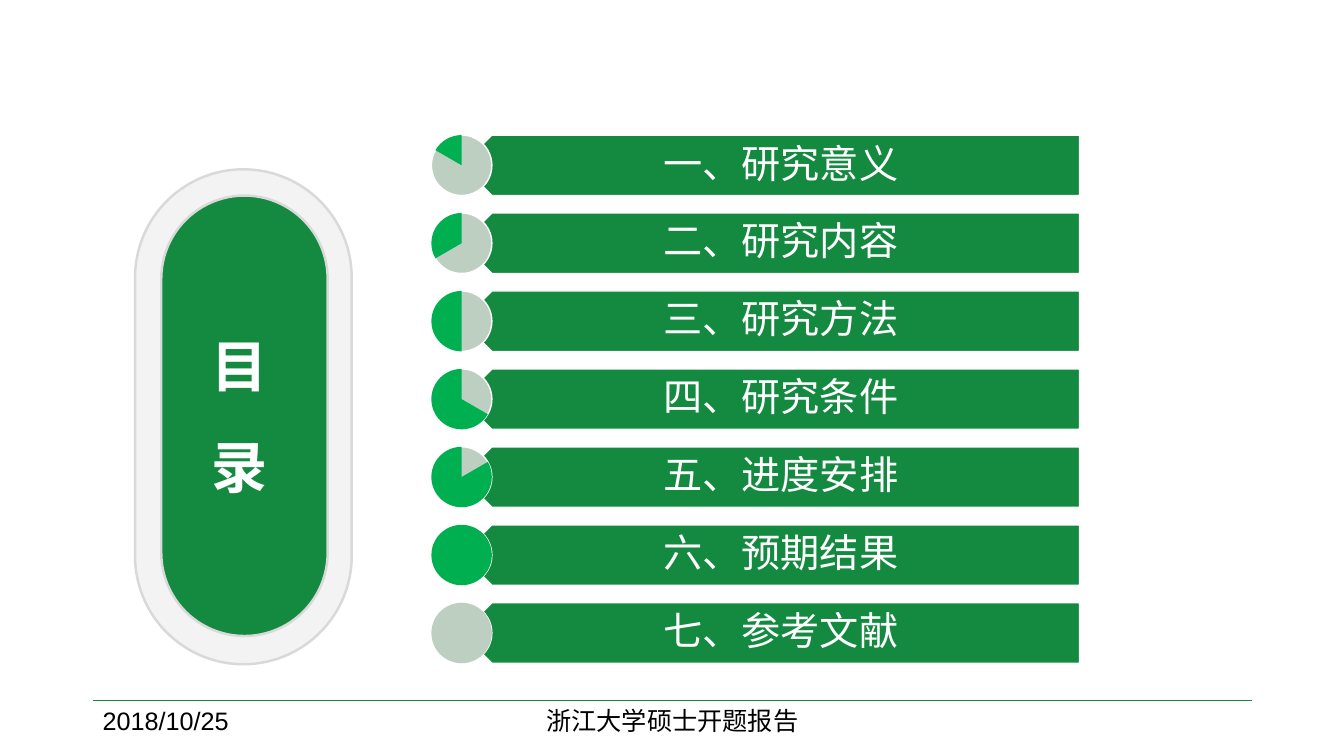
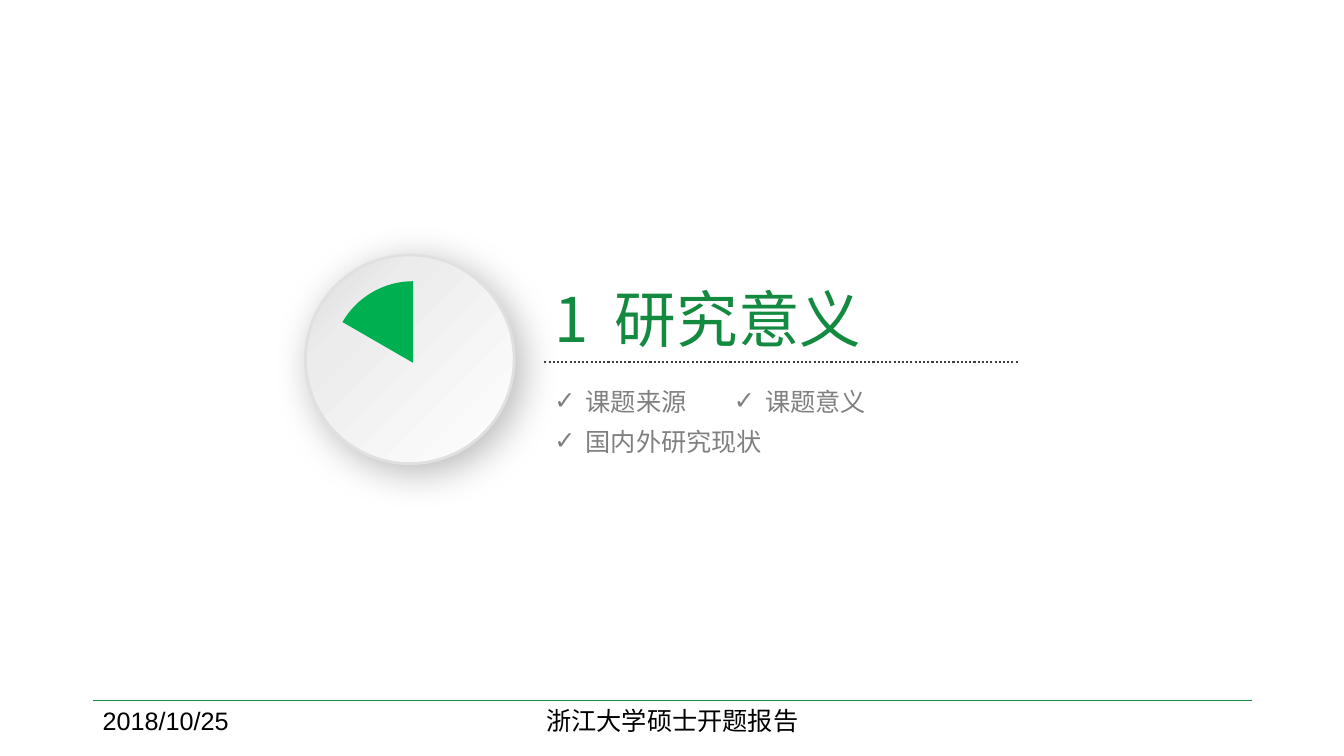
from lxml.etree import SubElement
from pptx import Presentation
from pptx.dml.color import RGBColor
from pptx.enum.dml import MSO_LINE
from pptx.enum.shapes import MSO_CONNECTOR, MSO_SHAPE
from pptx.enum.text import MSO_ANCHOR, MSO_AUTO_SIZE, PP_ALIGN
from pptx.oxml.ns import qn
from pptx.util import Inches, Pt

SLIDE_WIDTH, SLIDE_HEIGHT = Inches(13.33), Inches(7.5)
TITLE_ONLY, TWO_CONTENT = 5, 3

DEEP_GREEN = RGBColor(0x13, 0x8A, 0x40)
BRIGHT_GREEN = RGBColor(0x00, 0xB0, 0x50)
SAGE = RGBColor(0xBD, 0xCF, 0xC0)
WHITE = RGBColor(0xFF, 0xFF, 0xFF)
BLACK = RGBColor(0x00, 0x00, 0x00)
PALE_GREY = RGBColor(0xF3, 0xF3, 0xF3)
SOFT_GREY = RGBColor(0xEC, 0xEC, 0xEC)
RIM_GREY = RGBColor(0xE0, 0xE0, 0xE0)
EDGE_GREY = RGBColor(0xD9, 0xD9, 0xD9)
MID_GREY = RGBColor(0x80, 0x80, 0x80)
DARK_GREY = RGBColor(0x40, 0x40, 0x40)

LATIN_FONT = "Arial"
CHINESE_FONT = "Noto Sans CJK SC"

SECTIONS = ["一、研究意义", "二、研究内容", "三、研究方法", "四、研究条件",
            "五、进度安排", "六、预期结果", "七、参考文献"]
FIRST_ROW, ROW_STEP, ROW_HEIGHT = 17.87, 10.31, 8
DIAL_LEFT, DIAL_WIDTH = 32.1, 4.5
FULL_DIAL = 6
FOOTER_TOP, FOOTER_HEIGHT = 92.67, 5.33
TOPIC_LEFT, TOPIC_RIGHT = 40.5, 75.83


def across(percent):
    return round(SLIDE_WIDTH * percent / 100)


def down(percent):
    return round(SLIDE_HEIGHT * percent / 100)


def area(left, top, width, height):
    return across(left), down(top), across(width), down(height)


def add_figure(page, kind, place, fill, line=None, weight=1):
    figure = page.shapes.add_shape(kind, *area(*place))
    figure.shadow.inherit = False
    figure.fill.solid()
    figure.fill.fore_color.rgb = fill
    if line is None:
        figure.line.fill.background()
    else:
        figure.line.color.rgb = line
        figure.line.width = Pt(weight)
    return figure


def add_rule(page, left, right, top, color, weight, dash=None):
    rule = page.shapes.add_connector(
        MSO_CONNECTOR.STRAIGHT, across(left), down(top), across(right), down(top))
    rule.line.color.rgb = color
    rule.line.width = Pt(weight)
    rule.line.dash_style = dash
    SubElement(rule.element.spPr, qn("a:effectLst"))
    return rule


def write(box, lines, size, color, font=LATIN_FONT, align=PP_ALIGN.LEFT,
          anchor=MSO_ANCHOR.MIDDLE, bold=False, spacing=1.0):
    frame = box.text_frame
    frame.text = "\n".join(lines)
    frame.word_wrap = True
    frame.auto_size = MSO_AUTO_SIZE.NONE
    frame.vertical_anchor = anchor
    for para in frame.paragraphs:
        para.alignment = align
        para.line_spacing = spacing
        para.space_before = Pt(0)
        for span in para.runs:
            span.font.size = Pt(size)
            span.font.bold = bold
            span.font.color.rgb = color
            span.font.name = font
            SubElement(span._r.get_or_add_rPr(), qn("a:ea"), typeface=CHINESE_FONT)
    return frame


def add_text(page, place, text, size, color, **style):
    box = page.shapes.add_textbox(*area(*place))
    return write(box, [text], size, color, **style)


def move(placeholder, place):
    (placeholder.left, placeholder.top,
     placeholder.width, placeholder.height) = area(*place)
    return placeholder


def add_progress(page, place, step):
    if step >= FULL_DIAL:
        return add_figure(page, MSO_SHAPE.OVAL, place,
                          BRIGHT_GREEN if step == FULL_DIAL else SAGE)
    wedge = add_figure(page, MSO_SHAPE.PIE, place, BRIGHT_GREEN)
    start = (270 - 360 / FULL_DIAL * step) % 360
    wedge.adjustments[0] = start * 0.6
    wedge.adjustments[1] = 270 * 0.6
    return wedge


def add_checklist(placeholder, place, lines):
    frame = write(move(placeholder, place), lines, 18, MID_GREY,
                  font=CHINESE_FONT, anchor=MSO_ANCHOR.TOP)
    for index, para in enumerate(frame.paragraphs):
        properties = para._p.get_or_add_pPr()
        properties.set("marL", str(Inches(0.31)))
        properties.set("indent", str(-Inches(0.31)))
        SubElement(properties, qn("a:buChar"), char="✓")
        para.space_before = Pt(7 if index else 0)


def shade_disc(disc):
    disc.fill.gradient()
    disc.fill.gradient_angle = 315
    stops = disc.element.xpath(".//a:gsLst")[0]
    stops.clear()
    for position, color in ((0, EDGE_GREY), (27, SOFT_GREY), (100, WHITE)):
        stop = SubElement(stops, qn("a:gs"), pos=str(position * 1000))
        SubElement(stop, qn("a:srgbClr"), val=str(color))
    effects = disc.element.xpath(".//a:effectLst")[0]
    shadow = SubElement(effects, qn("a:outerShdw"), blurRad=str(Pt(28)),
                        dist=str(Pt(7)), dir=str(45 * 60000), rotWithShape="0")
    tint = SubElement(shadow, qn("a:srgbClr"), val=str(BLACK))
    SubElement(tint, qn("a:alpha"), val="28000")


def add_footer_rule(deck, page):
    rule = add_rule(page, 6.9, 93.15, FOOTER_TOP, DEEP_GREEN, 0.75)
    rule.element.xpath(".//p:cNvPr")[0].set("id", "20")
    deck.slide_master.shapes.element.append(rule.element)


def add_footer(page):
    add_text(page, (6.9, FOOTER_TOP, 22.5, FOOTER_HEIGHT), "2018/10/25", 18, BLACK)
    add_text(page, (33.15, FOOTER_TOP, 33.75, FOOTER_HEIGHT),
             "浙江大学硕士开题报告", 18, BLACK, align=PP_ALIGN.CENTER)


def add_section_row(page, step, label):
    top = FIRST_ROW + (step - 1) * ROW_STEP
    dial = (DIAL_LEFT, top, DIAL_WIDTH, ROW_HEIGHT)
    bar = add_figure(page, MSO_SHAPE.PENTAGON, (34.35, top, 45.98, ROW_HEIGHT),
                     DEEP_GREEN, WHITE)
    bar.rotation = 180
    frame = add_text(page, (35.48, top, 44.93, ROW_HEIGHT), label, 28, WHITE,
                     align=PP_ALIGN.CENTER, spacing=0.9)
    frame.margin_left, frame.margin_right = Inches(0.26), Inches(0.22)
    add_figure(page, MSO_SHAPE.OVAL, dial, SAGE, WHITE)
    add_progress(page, dial, step)


def build_contents(page):
    for place, fill in (((10.05, 22.4, 16.12, 65.47), PALE_GREY),
                        ((12, 25.87, 12.38, 58.27), DEEP_GREEN)):
        pill = add_figure(page, MSO_SHAPE.ROUNDED_RECTANGLE, place, fill, EDGE_GREY, 1.75)
        pill.adjustments[0] = 0.5
    title = move(page.shapes.title, (15, 33.47, 6.68, 38.53))
    write(title, ["目录"], 40, WHITE, font=CHINESE_FONT,
          align=PP_ALIGN.JUSTIFY, bold=True, spacing=1.5)
    page.shapes.element.append(title.element)
    for step, label in enumerate(SECTIONS, 1):
        add_section_row(page, step, label)
    add_footer(page)


def build_topic(page):
    title, left_list, right_list = page.placeholders
    frame = write(move(title, (TOPIC_LEFT, 36.4, TOPIC_RIGHT - TOPIC_LEFT, 11.2)),
                  ["1\t研究意义"], 44, DEEP_GREEN, font=CHINESE_FONT)
    tabs = SubElement(frame.paragraphs[0]._p.get_or_add_pPr(), qn("a:tabLst"))
    SubElement(tabs, qn("a:tab"), pos=str(Inches(0.6)), algn="l")
    add_rule(page, TOPIC_LEFT, TOPIC_RIGHT, 47.87, DARK_GREY, 1.5, MSO_LINE.ROUND_DOT)
    add_checklist(left_list, (TOPIC_LEFT, 50.4, 17.1, 11.47), ["课题来源", "国内外研究现状"])
    add_checklist(right_list, (53.85, 50.4, 11.48, 5.33), ["课题意义"])
    shade_disc(add_figure(page, MSO_SHAPE.OVAL, (22.73, 33.73, 15.53, 27.6),
                          WHITE, RIM_GREY, 2))
    add_progress(page, (24.67, 37.2, 12.15, 21.6), 1)
    add_footer(page)


def main():
    deck = Presentation()
    deck.slide_width, deck.slide_height = SLIDE_WIDTH, SLIDE_HEIGHT
    contents = deck.slides.add_slide(deck.slide_layouts[TITLE_ONLY])
    add_footer_rule(deck, contents)
    build_contents(contents)
    build_topic(deck.slides.add_slide(deck.slide_layouts[TWO_CONTENT]))
    deck.save("out.pptx")


if __name__ == "__main__":
    main()
